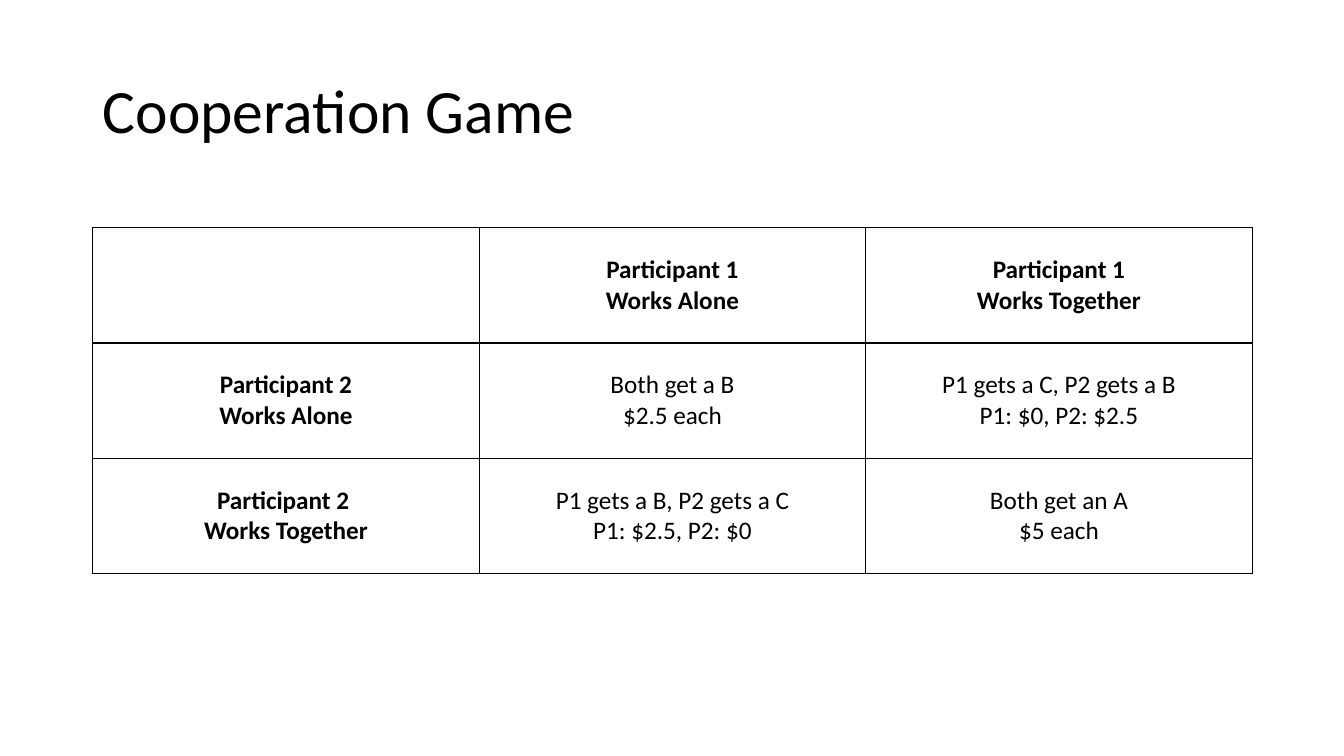
from lxml import etree
from pptx import Presentation
from pptx import util as u
from pptx.dml.color import RGBColor
from pptx.enum import text
from pptx.oxml.ns import qn

INK = {"text": "000000", "line": "000000", "cell": "FFFFFF"}

# Payoff matrix: one tuple of lines per cell
GAME = [
    [(), ("Participant 1", "Works Alone"), ("Participant 1", "Works Together")],
    [("Participant 2", "Works Alone"), ("Both get a B", "$2.5 each"),
     ("P1 gets a C, P2 gets a B", "P1: $0, P2: $2.5")],
    [("Participant 2 ", "Works Together"),
     ("P1 gets a B, P2 gets a C", "P1: $2.5, P2: $0"),
     ("Both get an A", "$5 each")],
]


class Deck:
    face = "Calibri"

    def __init__(self, wide, high):
        self.prs = Presentation()
        self.prs.slide_width = u.Inches(wide)
        self.prs.slide_height = u.Inches(high)
        self.slide = self.prs.slides.add_slide(self.prs.slide_layouts[5])

    def style(self, para, size, align, bold=False):
        para.alignment = align
        font = para.font
        font.name, font.size, font.bold = self.face, u.Pt(size), bold
        font.color.rgb = RGBColor.from_string(INK["text"])

    def title(self, words, *box):
        shape = self.slide.shapes.title
        shape.left, shape.top, shape.width, shape.height = map(u.Inches, box)
        frame = shape.text_frame
        frame.text = words
        frame.word_wrap = True
        frame.auto_size = text.MSO_AUTO_SIZE.NONE
        frame.vertical_anchor = text.MSO_ANCHOR.MIDDLE
        para = frame.paragraphs[0]
        para.line_spacing = 0.9
        self.style(para, 44, text.PP_ALIGN.LEFT)

    def border(self, cell, width=1):
        props = cell._tc.get_or_add_tcPr()
        for side in ("lnL", "lnR", "lnT", "lnB"):
            line = etree.SubElement(props, qn(f"a:{side}"), w=str(u.Pt(width)))
            fill = etree.SubElement(line, qn("a:solidFill"))
            etree.SubElement(fill, qn("a:srgbClr"), val=INK["line"])

    def cell(self, cell, lines, bold):
        self.border(cell)
        cell.fill.solid()
        cell.fill.fore_color.rgb = RGBColor.from_string(INK["cell"])
        cell.vertical_anchor = text.MSO_ANCHOR.MIDDLE
        cell.text_frame.text = "\n".join(lines)
        for para in cell.text_frame.paragraphs:
            self.style(para, 18, text.PP_ALIGN.CENTER, bold)

    def table(self, rows, *box):
        frame = self.slide.shapes.add_table(
            len(rows), len(rows[0]), *map(u.Inches, box))
        grid = frame.table
        grid.first_row = grid.horz_banding = False
        for r, row in enumerate(rows):
            for c, lines in enumerate(row):
                # Headings fill the first row and column
                self.cell(grid.cell(r, c), lines, bold=r == 0 or c == 0)


def main():
    deck = Deck(13.33, 7.5)
    deck.title("Cooperation Game", 0.92, 0.4, 11.5, 1.45)
    deck.table(GAME, 0.92, 2.26, 11.5, 3.43)
    deck.prs.save("out.pptx")


if __name__ == "__main__":
    main()
